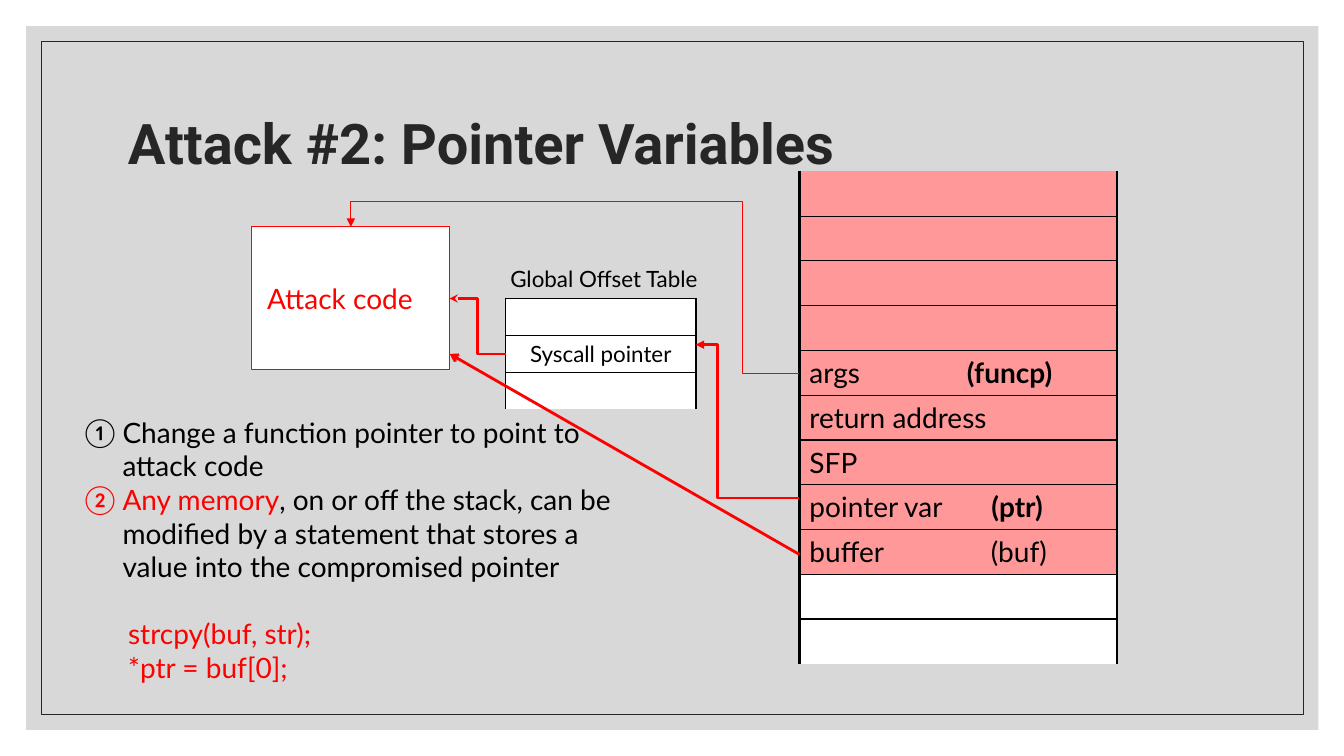
from dataclasses import dataclass

from pptx import Presentation
from pptx import util as u
from pptx.dml import color
from pptx.enum import shapes, text
from pptx.oxml import parse_xml, ns

BLACK = color.RGBColor(0x00, 0x00, 0x00)
WHITE = color.RGBColor(0xFF, 0xFF, 0xFF)
RED = color.RGBColor(0xFF, 0x00, 0x00)
PINK = color.RGBColor(0xFF, 0x99, 0x99)
INK = color.RGBColor(0x26, 0x26, 0x26)
GRAY = color.RGBColor(0xBF, 0xBF, 0xBF)


@dataclass
class Box:
    left: float
    top: float
    width: float
    height: float

    def lengths(self) -> list:
        return [u.Pt(value) for value in (self.left, self.top, self.width, self.height)]


@dataclass
class Row:
    label: str = ""
    note: str = ""
    note_tab: float = 0
    note_bold: bool = False
    fill: color.RGBColor = WHITE


@dataclass
class Grid:
    box: Box
    rows: list[Row]
    size: float
    align: text.PP_ALIGN
    side_width: float
    top_line: bool


@dataclass
class Arrow:
    start: tuple[float, float]
    end: tuple[float, float]
    width: float
    head: str
    preset: str = "line"
    bends: tuple[float, ...] = ()


@dataclass
class Item:
    runs: list[tuple[str, color.RGBColor]]
    numbered: bool = False
    space_before: float = 0


STACK = Grid(
    Box(571, 122.4, 226.8, 352),
    [Row(fill=PINK)] * 4
    + [
        Row("args", "(funcp)", 112.5, True, PINK),
        Row("return address", fill=PINK),
        Row("SFP", fill=PINK),
        Row("pointer var", "(ptr)", 130, True, PINK),
        Row("buffer", "(buf)", 129.5, False, PINK),
    ]
    + [Row()] * 2,
    20, text.PP_ALIGN.LEFT, 2.25, False,
)
OFFSET_TABLE = Grid(
    Box(361.2, 213.2, 136, 79.2), [Row(), Row("Syscall pointer"), Row()],
    16, text.PP_ALIGN.CENTER, 1, True,
)
ARROWS = [
    Arrow((571, 266.6), (250.6, 162), 0.5, "triangle", "bentConnector4", (0.127, 1.172)),
    Arrow((571, 355.7), (497, 246.2), 2, "triangle", "bentConnector3", (0.794,)),
    Arrow((361.2, 252.8), (321.2, 213.2), 2, "stealth", "bentConnector3", (0.498,)),
    Arrow((571, 396), (321.2, 252.8), 2, "arrow"),
]
ITEMS = [
    Item([("Change a function pointer to point to attack code", BLACK)], True),
    Item([
        ("Any memory", RED),
        (", on or off the stack, can be modified by a statement that stores a "
         "value into the compromised pointer", BLACK),
    ], True),
    Item([("strcpy(buf, str);", RED)], space_before=24),
    Item([("*ptr = buf[0];", RED)]),
]


def set_font(paragraph, size: float, rgb: color.RGBColor | None = BLACK, name: str = "Lato") -> None:
    paragraph.font.size = u.Pt(size)
    paragraph.font.name = name
    if rgb is not None:
        paragraph.font.color.rgb = rgb


def add_rectangle(slide, box: Box, fill: color.RGBColor | None, line: color.RGBColor | None):
    shape = slide.shapes.add_shape(shapes.MSO_SHAPE.RECTANGLE, *box.lengths())
    shape.shadow.inherit = False
    if fill is None:
        shape.fill.background()
    else:
        shape.fill.solid()
        shape.fill.fore_color.rgb = fill
    if line is None:
        shape.line.fill.background()
    else:
        shape.line.color.rgb = line
        shape.line.width = u.Pt(0.5)
    return shape


def add_border(cell, side: str, width: float) -> None:
    paint = f'<a:solidFill><a:srgbClr val="{BLACK}"/></a:solidFill>' if width else "<a:noFill/>"
    cell._tc.get_or_add_tcPr().append(parse_xml(
        f'<a:ln{side} {ns.nsdecls("a")} w="{u.Pt(width)}">{paint}</a:ln{side}>'))


def add_grid(slide, grid: Grid) -> None:
    count = len(grid.rows)
    table = slide.shapes.add_table(count, 1, *grid.box.lengths()).table
    table.first_row = table.horz_banding = False
    for index, row in enumerate(grid.rows):
        table.rows[index].height = u.Pt(grid.box.height / count)
        cell = table.cell(index, 0)
        cell.margin_top = cell.margin_bottom = u.Pt(2)
        cell.vertical_anchor = text.MSO_ANCHOR.MIDDLE
        add_border(cell, "L", grid.side_width)
        add_border(cell, "R", grid.side_width)
        add_border(cell, "T", 1 if index or grid.top_line else 0)
        add_border(cell, "B", 1 if index < count - 1 else 0)
        cell.fill.solid()
        cell.fill.fore_color.rgb = row.fill
        paragraph = cell.text_frame.paragraphs[0]
        paragraph.alignment = grid.align
        if row.note:
            paragraph._p.get_or_add_pPr().append(parse_xml(
                f'<a:tabLst {ns.nsdecls("a")}><a:tab pos="{u.Pt(row.note_tab)}" algn="l"/></a:tabLst>'))
        set_font(paragraph, grid.size)
        if row.label:
            paragraph.add_run().text = row.label + ("\t" if row.note else "")
        if row.note:
            note = paragraph.add_run()
            note.text = row.note
            note.font.bold = row.note_bold


def add_arrow(slide, arrow: Arrow) -> None:
    bent = bool(arrow.bends)
    first, last = (arrow.end, arrow.start) if bent else (arrow.start, arrow.end)
    kind = shapes.MSO_CONNECTOR.ELBOW if bent else shapes.MSO_CONNECTOR.STRAIGHT
    connector = slide.shapes.add_connector(kind, *(u.Pt(value) for value in first + last))
    connector.line.color.rgb = RED
    connector.line.width = u.Pt(arrow.width)
    properties = connector._element.spPr
    if bent:
        properties.find(ns.qn("a:xfrm")).set("rot", "10800000")
        geometry = properties.find(ns.qn("a:prstGeom"))
        geometry.set("prst", arrow.preset)
        guides = geometry.find(ns.qn("a:avLst"))
        for number, bend in enumerate(arrow.bends, 1):
            guides.append(parse_xml(
                f'<a:gd {ns.nsdecls("a")} name="adj{number}" fmla="val {round(bend * 100000)}"/>'))
    connector.line._get_or_add_ln().append(
        parse_xml(f'<a:tailEnd {ns.nsdecls("a")} type="{arrow.head}"/>'))
    properties.append(parse_xml(f'<a:effectLst {ns.nsdecls("a")}/>'))


def place(shape, box: Box, anchor: text.MSO_ANCHOR):
    shape.left, shape.top, shape.width, shape.height = box.lengths()
    frame = shape.text_frame
    frame.word_wrap = True
    frame.auto_size = text.MSO_AUTO_SIZE.NONE
    frame.vertical_anchor = anchor
    return frame


def add_item(paragraph, item: Item) -> None:
    properties = paragraph._p.get_or_add_pPr()
    properties.set("marL", str(u.Pt(27 if item.numbered else 31)))
    properties.set("indent", str(u.Pt(-27 if item.numbered else 0)))
    bullet = 'buAutoNum type="circleNumDbPlain"' if item.numbered else "buNone"
    properties.append(parse_xml(f'<a:{bullet.replace(" ", " " + ns.nsdecls("a") + " ", 1)}/>'
                                if item.numbered else f'<a:{bullet} {ns.nsdecls("a")}/>'))
    paragraph.space_before = u.Pt(item.space_before)
    set_font(paragraph, 20, item.runs[0][1] if len(item.runs) == 1 else None)
    for words, rgb in item.runs:
        run = paragraph.add_run()
        run.text = words
        if len(item.runs) > 1:
            run.font.color.rgb = rgb


def add_label(shape, words: str, size: float, rgb: color.RGBColor, margin: float) -> None:
    frame = shape.text_frame
    frame.word_wrap = True
    frame.margin_left = u.Pt(margin)
    paragraph = frame.paragraphs[0]
    paragraph.text = words
    paragraph.alignment = text.PP_ALIGN.LEFT
    set_font(paragraph, size, rgb)


def main() -> None:
    presentation = Presentation()
    presentation.slide_width, presentation.slide_height = u.Pt(960), u.Pt(540)
    slide = presentation.slides.add_slide(presentation.slide_layouts[1])

    panel = add_rectangle(slide, Box(18.7, 18.7, 923, 502.6), GRAY, None)
    panel.fill._xPr.find(ns.qn("a:solidFill"))[0].append(
        parse_xml(f'<a:alpha {ns.nsdecls("a")} val="60000"/>'))
    frame_line = add_rectangle(slide, Box(29.5, 29.5, 901.4, 481), None, INK)
    for position, shape in enumerate((panel, frame_line), 2):
        slide.shapes._spTree.insert(position, shape._element)

    title = place(slide.shapes.title, Box(84.2, 50.4, 792, 108), text.MSO_ANCHOR.MIDDLE).paragraphs[0]
    title.text = "Attack #2: Pointer Variables"
    title.alignment = text.PP_ALIGN.LEFT
    title.line_spacing = 0.9
    set_font(title, 40, INK, "Roboto")
    title.font.bold = True

    body = place(slide.placeholders[1], Box(53.3, 293, 400.3, 201), text.MSO_ANCHOR.TOP)
    for index, item in enumerate(ITEMS):
        add_item(body.add_paragraph() if index else body.paragraphs[0], item)

    add_grid(slide, STACK)
    attack_code = add_rectangle(slide, Box(179.3, 162, 141.8, 102.2), WHITE, RED)
    add_label(attack_code, "Attack code", 20, RED, 11.5)
    add_grid(slide, OFFSET_TABLE)
    caption = slide.shapes.add_textbox(*Box(350, 185.8, 159, 26.6).lengths())
    add_label(caption, "Global Offset Table", 16, BLACK, 14.5)
    for arrow in ARROWS:
        add_arrow(slide, arrow)
    presentation.save("out.pptx")


if __name__ == "__main__":
    main()
